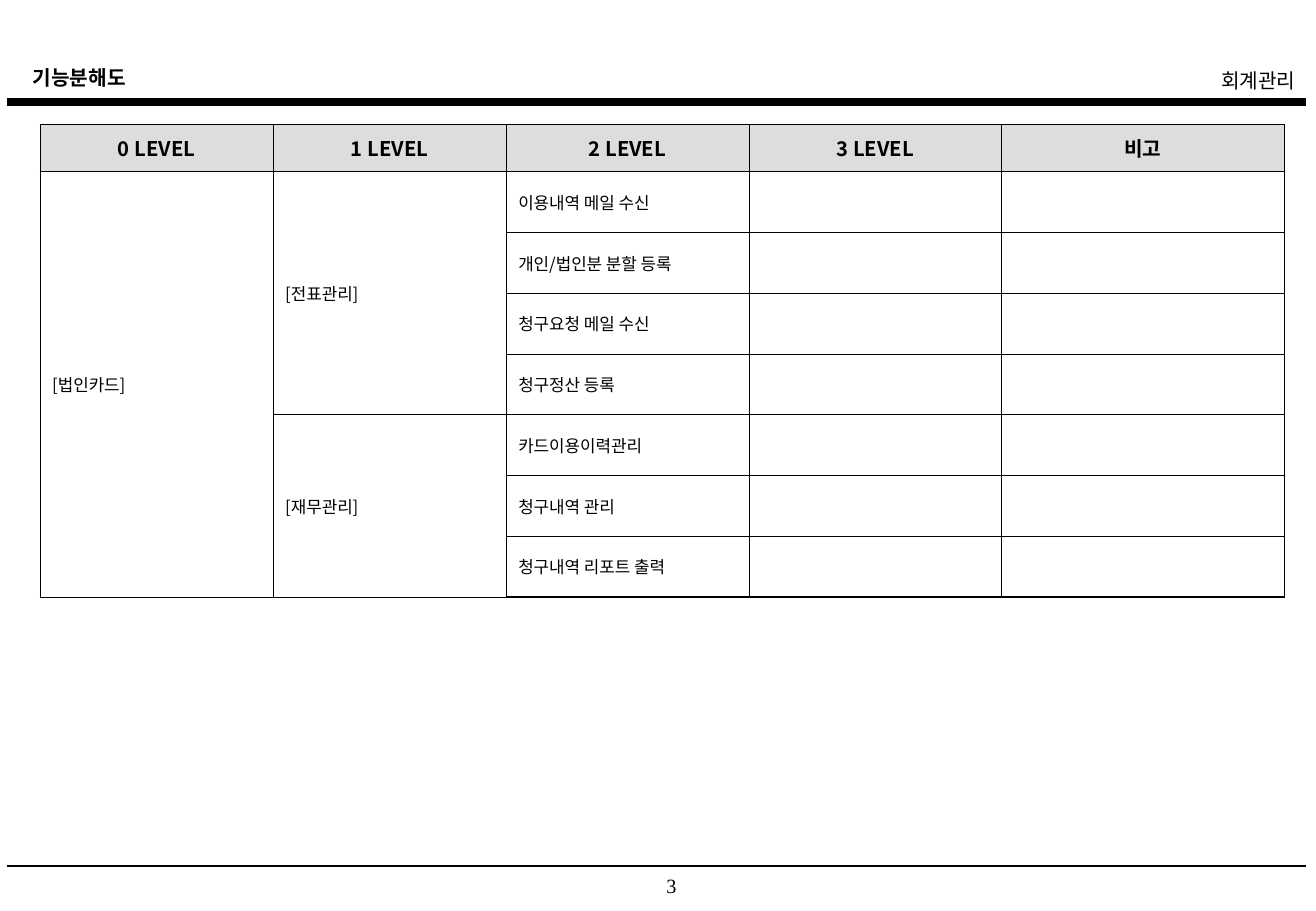
import pptx
import pptx.util
import pptx.dml.color
import pptx.enum.shapes
import pptx.enum.text
import pptx.oxml.ns
import lxml.etree

Pt = pptx.util.Pt
ALIGN = pptx.enum.text.PP_ALIGN
ANCHOR = pptx.enum.text.MSO_ANCHOR
AUTO_SIZE = pptx.enum.text.MSO_AUTO_SIZE

SLIDE_WIDTH, SLIDE_HEIGHT = 780.48, 540
KOREAN = "Noto Sans CJK KR"
BLACK, HEADER_GRAY = "000000", "DDDDDD"
RULE_LEFT, RULE_RIGHT = 4.32, 774.72

LEVELS = ["0 LEVEL", "1 LEVEL", "2 LEVEL", "3 LEVEL", "비고"]
COLUMN_WIDTHS = [138.24, 138.24, 144, 149.76, 167.76]
HEADER_HEIGHT, ROW_HEIGHT = 28.1, 36.05
CATEGORY = "[법인카드]"
FUNCTIONS = {
    "[전표관리]": ["이용내역 메일 수신", "개인/법인분 분할 등록", "청구요청 메일 수신", "청구정산 등록"],
    "[재무관리]": ["카드이용이력관리", "청구내역 관리", "청구내역 리포트 출력"],
}


def color(hex_code):
    return pptx.dml.color.RGBColor.from_string(hex_code)


def add_xml(parent, tag, **attributes):
    return lxml.etree.SubElement(parent, pptx.oxml.ns.qn(tag), attributes)


def write(frame, text, size, align=ALIGN.LEFT, bold=False, font=KOREAN):
    frame.text = text
    paragraph = frame.paragraphs[0]
    paragraph.alignment = align
    for run in paragraph.runs:
        run.font.size = Pt(size)
        run.font.bold = bold
        run.font.name = font
        run.font.color.rgb = color(BLACK)
        add_xml(run.font._element, "a:ea", typeface=font)


def place(box, left, top, width, height):
    box.left, box.top, box.width, box.height = map(Pt, (left, top, width, height))
    frame = box.text_frame
    frame.word_wrap = True
    frame.vertical_anchor = ANCHOR.TOP
    return frame


def add_heading(box, left, top, width, text, align, bold):
    frame = place(box, left, top, width, 21.6)
    frame.auto_size = AUTO_SIZE.SHAPE_TO_FIT_TEXT
    write(frame, text, 12, align, bold)


def add_rule(slide, y, weight):
    rule = slide.shapes.add_connector(
        pptx.enum.shapes.MSO_CONNECTOR.STRAIGHT,
        Pt(RULE_LEFT), Pt(y), Pt(RULE_RIGHT), Pt(y))
    rule.line.color.rgb = color(BLACK)
    rule.line.width = Pt(weight)
    add_xml(rule._element.spPr, "a:effectLst")


def add_page_number(slide, number):
    box = slide.shapes.add_textbox(0, 0, 0, 0)
    frame = place(box, 361.44, 514.08, 56.16, 19.44)
    write(frame, number, 12, ALIGN.CENTER, font="Times New Roman")
    indent = frame.paragraphs[0]._p.get_or_add_pPr()
    indent.set("marL", str(Pt(17.28)))
    indent.set("indent", "0")


def set_borders(cell, row, column, last_row, last_column):
    def horizontal(edge):
        if edge in (0, last_row + 1):
            return 0.75
        return 0.45 if edge == 1 else 0.34

    def vertical(edge):
        return 0.75 if edge in (0, last_column + 1) else 0.45

    weights = {"a:lnL": vertical(column), "a:lnR": vertical(column + 1),
               "a:lnT": horizontal(row), "a:lnB": horizontal(row + 1)}
    properties = cell._tc.get_or_add_tcPr()
    for side, weight in weights.items():
        border = add_xml(properties, side, w=str(Pt(weight)))
        add_xml(add_xml(border, "a:solidFill"), "a:srgbClr", val=BLACK)


def format_cells(table):
    last_row, last_column = len(table.rows) - 1, len(table.columns) - 1
    for row in range(last_row + 1):
        for column in range(last_column + 1):
            cell = table.cell(row, column)
            set_borders(cell, row, column, last_row, last_column)
            cell.vertical_anchor = ANCHOR.MIDDLE
            if row == 0:
                cell.fill.solid()
                cell.fill.fore_color.rgb = color(HEADER_GRAY)
            else:
                cell.fill.background()


def add_function_table(slide):
    row_count = sum(map(len, FUNCTIONS.values()))
    table = slide.shapes.add_table(
        row_count + 1, len(LEVELS), Pt(23.76), Pt(73.6),
        Pt(sum(COLUMN_WIDTHS)), Pt(HEADER_HEIGHT + row_count * ROW_HEIGHT)).table
    table.first_row = table.horz_banding = False
    for column, width in zip(table.columns, COLUMN_WIDTHS):
        column.width = Pt(width)
    for index, row in enumerate(table.rows):
        row.height = Pt(ROW_HEIGHT if index else HEADER_HEIGHT)
    format_cells(table)

    for column, level in enumerate(LEVELS):
        write(table.cell(0, column).text_frame, level, 12, ALIGN.CENTER, True)
    table.cell(1, 0).merge(table.cell(row_count, 0))
    write(table.cell(1, 0).text_frame, CATEGORY, 10)
    first = 1
    for group, functions in FUNCTIONS.items():
        table.cell(first, 1).merge(table.cell(first + len(functions) - 1, 1))
        write(table.cell(first, 1).text_frame, group, 10)
        for row, function in enumerate(functions, first):
            write(table.cell(row, 2).text_frame, function, 10)
        first += len(functions)


def main():
    deck = pptx.Presentation()
    deck.slide_width, deck.slide_height = Pt(SLIDE_WIDTH), Pt(SLIDE_HEIGHT)
    slide = deck.slides.add_slide(deck.slide_layouts[5])
    add_heading(slide.shapes.title, 12.24, 35.28, 313.2, "기능분해도", ALIGN.LEFT, True)
    add_rule(slide, 60.48, 4.5)
    add_rule(slide, 513.36, 1)
    section = slide.shapes.add_textbox(0, 0, 0, 0)
    add_heading(section, 437.76, 36.72, 337.68, "회계관리", ALIGN.RIGHT, False)
    add_function_table(slide)
    add_page_number(slide, "3")
    deck.save("out.pptx")


if __name__ == "__main__":
    main()
